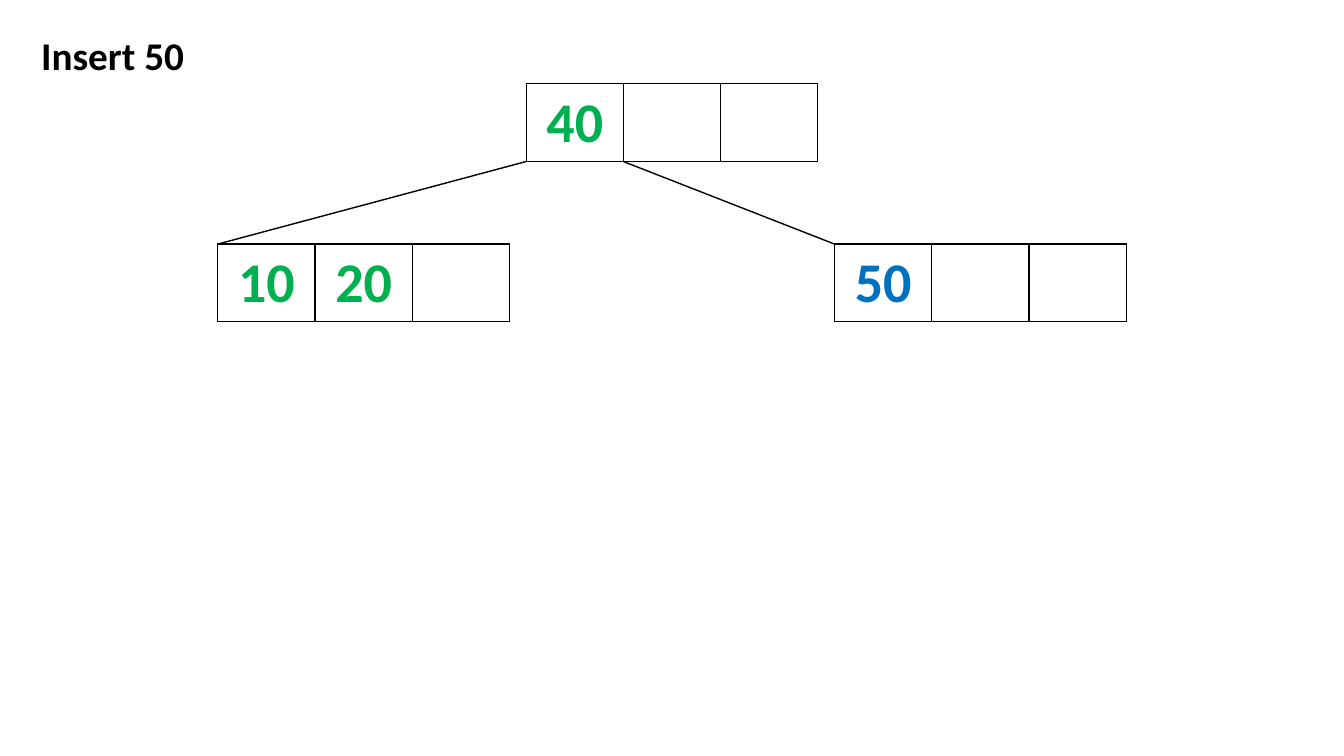
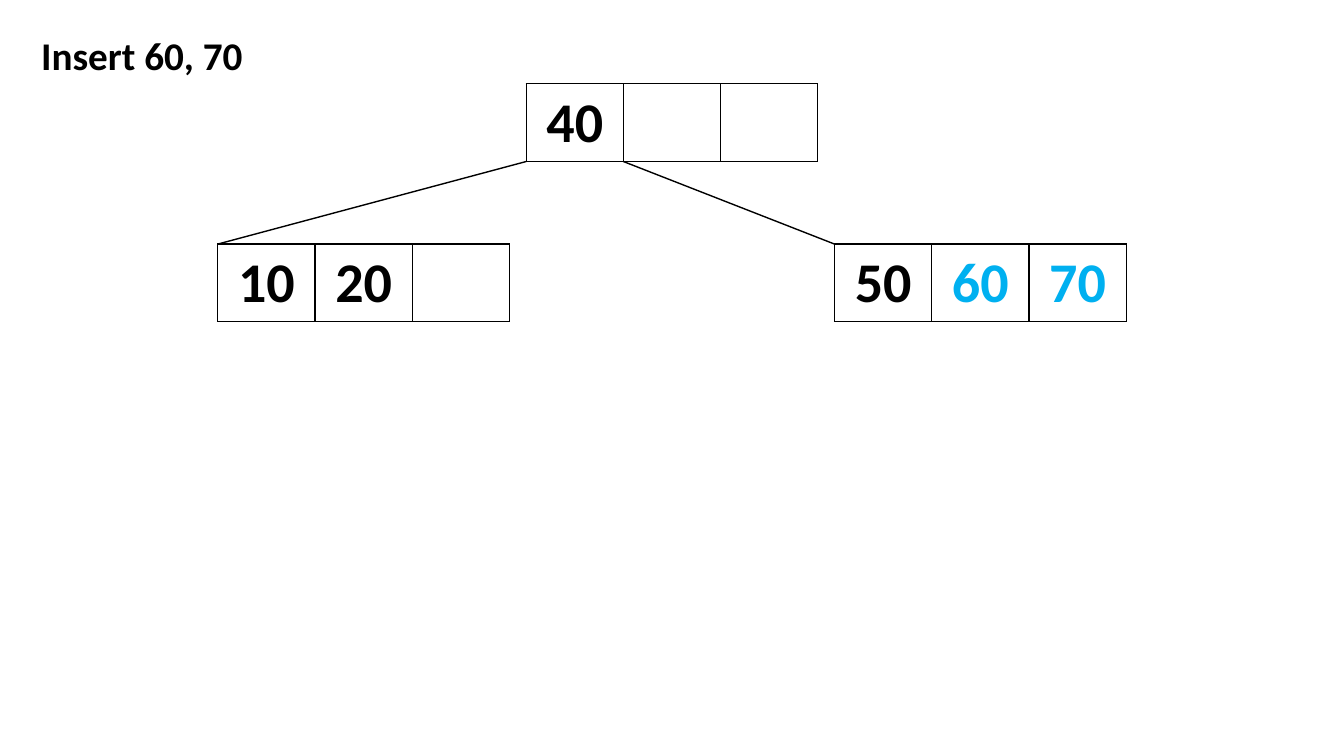
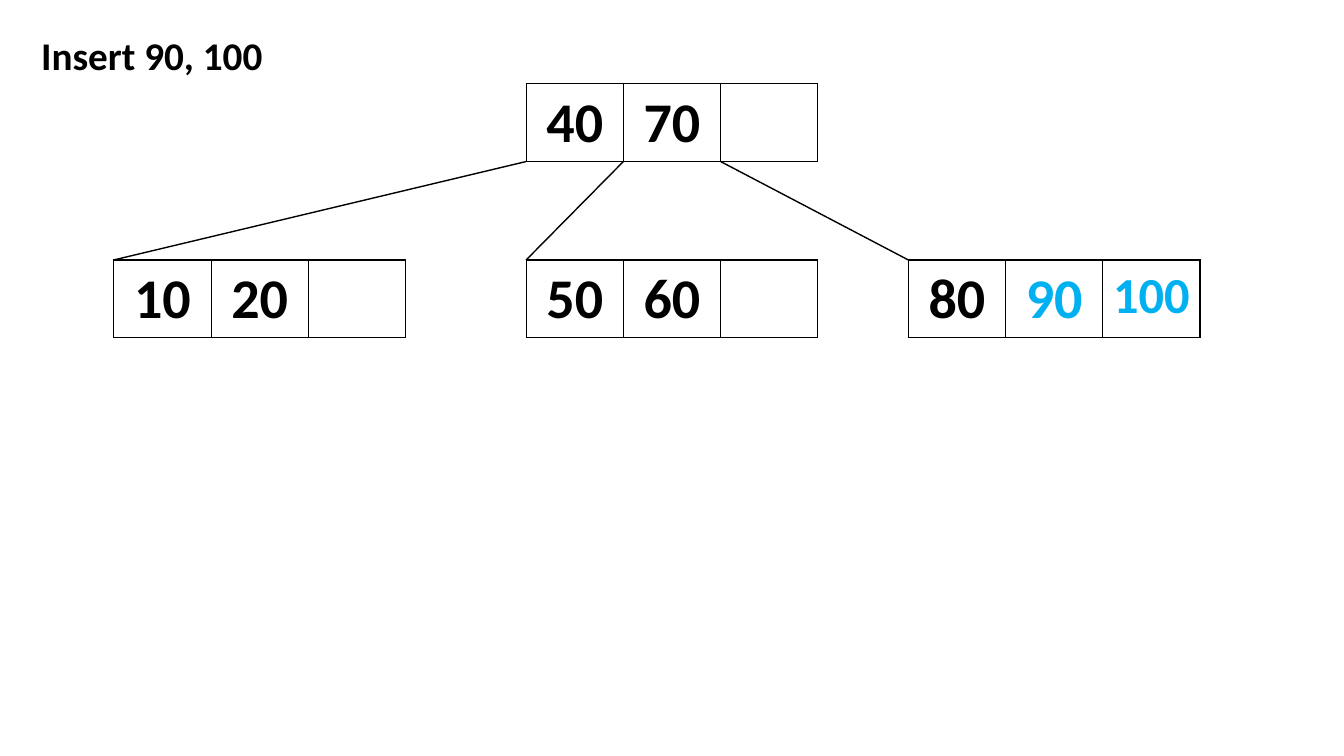
from dataclasses import dataclass

from lxml.etree import SubElement
from pptx import Presentation
from pptx.dml.color import RGBColor
from pptx.enum.shapes import MSO_CONNECTOR as Connector
from pptx.enum.text import MSO_AUTO_SIZE as AutoSize, PP_ALIGN as Align
from pptx.oxml.ns import qn
from pptx.util import Cm, Pt


@dataclass(frozen=True)
class Theme:
    font: str = "Calibri"
    black: RGBColor = RGBColor(0x00, 0x00, 0x00)
    white: RGBColor = RGBColor(0xFF, 0xFF, 0xFF)
    green: RGBColor = RGBColor(0x00, 0xB0, 0x50)
    blue: RGBColor = RGBColor(0x00, 0x70, 0xC0)
    sky: RGBColor = RGBColor(0x00, 0xB0, 0xF0)
    title_size: int = 28
    key_size: int = 40
    long_key_size: int = 36
    line_width: int = 1


THEME = Theme()
KEYS_PER_NODE = 3
CELL_WIDTH, CELL_HEIGHT = 2.45, 1.96
ROOT_LEFT, ROOT_TOP = 13.26, 2.11
TITLE_LEFT, TITLE_TOP, TITLE_HEIGHT = 0.79, 0.66, 1.45


@dataclass(frozen=True)
class Step:
    """One insertion: new keys are drawn in new_color, the others in old_color."""
    title: str
    title_width: float
    root: tuple
    children_top: float
    children: tuple  # (left, keys) of each child node
    new_keys: tuple
    old_color: RGBColor = THEME.black
    new_color: RGBColor = THEME.sky


STEPS = (
    Step("Insert 50", 4.17, (40,), 6.15,
         ((5.49, (10, 20)), (21.03, (50,))),
         (50,), THEME.green, THEME.blue),
    Step("Insert 60, 70", 5.66, (40,), 6.15,
         ((5.49, (10, 20)), (21.03, (50, 60, 70))), (60, 70)),
    Step("Insert 90, 100", 6.17, (40, 70), 6.55,
         ((2.87, (10, 20)), (ROOT_LEFT, (50, 60)), (22.89, (80, 90, 100))),
         (90, 100)),
)


def style_font(paragraph, size, color):
    font = paragraph.font
    font.name, font.size, font.bold = THEME.font, Pt(size), True
    font.color.rgb = color


def add_title(slide, text, width):
    box = slide.shapes.add_textbox(
        Cm(TITLE_LEFT), Cm(TITLE_TOP), Cm(width), Cm(TITLE_HEIGHT))
    frame = box.text_frame
    frame.word_wrap = False
    frame.auto_size = AutoSize.SHAPE_TO_FIT_TEXT
    paragraph = frame.paragraphs[0]
    paragraph.text = text
    style_font(paragraph, THEME.title_size, THEME.black)


def add_borders(cell):
    properties = cell._tc.get_or_add_tcPr()
    for side in ("a:lnL", "a:lnR", "a:lnT", "a:lnB"):
        line = SubElement(properties, qn(side), w=str(Pt(THEME.line_width)))
        fill = SubElement(line, qn("a:solidFill"))
        SubElement(fill, qn("a:srgbClr"), val=str(THEME.black))


def add_node(slide, left, top, keys, step):
    table = slide.shapes.add_table(
        1, KEYS_PER_NODE, Cm(left), Cm(top),
        Cm(KEYS_PER_NODE * CELL_WIDTH), Cm(CELL_HEIGHT)).table
    table.first_row = table.horz_banding = False
    for column in table.columns:
        column.width = Cm(CELL_WIDTH)
    for cell in table.iter_cells():
        add_borders(cell)
        cell.fill.solid()
        cell.fill.fore_color.rgb = THEME.white
    for column, key in enumerate(keys):
        paragraph = table.cell(0, column).text_frame.paragraphs[0]
        paragraph.text = str(key)
        paragraph.alignment = Align.CENTER
        size = THEME.key_size if key < 100 else THEME.long_key_size
        color = step.new_color if key in step.new_keys else step.old_color
        style_font(paragraph, size, color)


def add_branch(slide, position, child_left, child_top):
    """Link the root's border at the given key position to a child's corner."""
    line = slide.shapes.add_connector(
        Connector.STRAIGHT,
        Cm(ROOT_LEFT + position * CELL_WIDTH), Cm(ROOT_TOP + CELL_HEIGHT),
        Cm(child_left), Cm(child_top))
    line.line.color.rgb = THEME.black
    line.line.width = Pt(THEME.line_width)
    SubElement(line._element.spPr, qn("a:effectLst"))


def add_step_slide(presentation, step):
    slide = presentation.slides.add_slide(presentation.slide_layouts[6])
    add_title(slide, step.title, step.title_width)
    add_node(slide, ROOT_LEFT, ROOT_TOP, step.root, step)
    for position, (left, keys) in enumerate(step.children):
        add_node(slide, left, step.children_top, keys, step)
        add_branch(slide, position, left, step.children_top)


def main():
    presentation = Presentation()
    presentation.slide_width, presentation.slide_height = Cm(33.87), Cm(19.05)
    for step in STEPS:
        add_step_slide(presentation, step)
    presentation.save("out.pptx")


if __name__ == "__main__":
    main()
